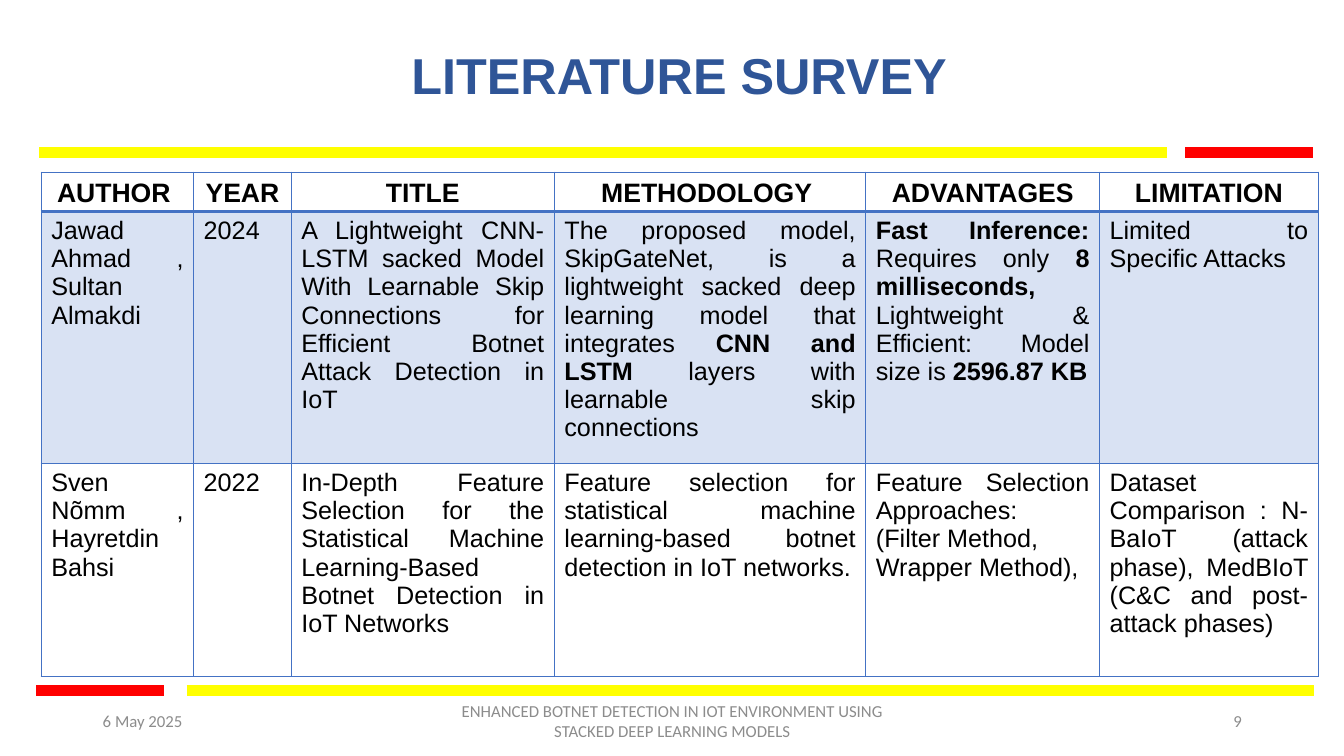
import pptx
import pptx.dml.color
import pptx.enum.shapes
import pptx.enum.text
import pptx.oxml
import pptx.oxml.ns
import pptx.util
from pptx.dml.color import RGBColor
from pptx.enum.text import MSO_ANCHOR, PP_ALIGN
from pptx.util import Cm, Pt

YELLOW = RGBColor(0xFF, 0xFF, 0x00)
RED = RGBColor(0xFF, 0x00, 0x00)
NAVY = RGBColor(0x2F, 0x55, 0x97)
BLUE = RGBColor(0x44, 0x72, 0xC4)
BLACK = RGBColor(0x00, 0x00, 0x00)
GREY = RGBColor(0x8C, 0x8C, 0x8C)

COLUMN_WIDTHS = [3.84, 2.46, 6.63, 7.85, 5.89, 5.51]
ROW_HEIGHTS = [0.99, 6.35, 5.36]
SURVEY = [
    ["AUTHOR ", "YEAR", "TITLE", "METHODOLOGY ", "ADVANTAGES", "LIMITATION"],
    [
        "Jawad Ahmad , Sultan Almakdi",
        "2024",
        "A Lightweight CNN-LSTM sacked Model With Learnable Skip Connections "
        "for Efficient Botnet Attack Detection in IoT",
        "The proposed model, SkipGateNet, is a lightweight sacked deep learning model "
        "that integrates **CNN and LSTM** layers with learnable skip connections",
        "**Fast Inference:** Requires only **8 milliseconds, **"
        "Lightweight & Efficient: Model size is **2596.87 KB**",
        "Limited to Specific Attacks",
    ],
    [
        "Sven Nõmm , Hayretdin Bahsi",
        "2022",
        "In-Depth Feature Selection for the Statistical Machine Learning-Based "
        "Botnet Detection in IoT Networks ",
        "Feature selection for statistical machine learning-based botnet detection "
        "in IoT networks.",
        "Feature Selection Approaches:\n(Filter Method, \nWrapper Method), ",
        "Dataset Comparison : N-BaIoT (attack phase), MedBIoT "
        "(C&C and post-attack phases)",
    ],
]


def style_span(span, font, size, color, bold=False):
    """Set the font of one run."""
    span.font.name = font
    span.font.size = Pt(size)
    span.font.color.rgb = color
    span.font.bold = bold


def add_bar(page, left, right, top, color):
    """Draw a thick horizontal rule."""
    bar = page.shapes.add_connector(
        pptx.enum.shapes.MSO_CONNECTOR.STRAIGHT, Cm(left), Cm(top), Cm(right), Cm(top)
    )
    bar.line.color.rgb = color
    bar.line.width = Pt(8)
    bar._element.spPr.append(pptx.oxml.parse_xml(
        f'<a:effectLst {pptx.oxml.ns.nsdecls("a")}/>'
    ))


def add_label(page, text, place, align, font, size, color, bold=False):
    """Add a vertically centred line of text."""
    box = page.shapes.add_textbox(*[Cm(length) for length in place])
    frame = box.text_frame
    frame.word_wrap = True
    frame.vertical_anchor = MSO_ANCHOR.MIDDLE
    frame.text = text
    para = frame.paragraphs[0]
    para.alignment = align
    style_span(para.runs[0], font, size, color, bold)
    return para


def set_borders(cell, top, bottom):
    """Outline a cell in blue, with given top and bottom widths in points."""
    properties = cell._tc.get_or_add_tcPr()
    widths = {"lnL": 1, "lnR": 1, "lnT": top, "lnB": bottom}
    for position, (side, width) in enumerate(widths.items()):
        properties.insert(position, pptx.oxml.parse_xml(
            f'<a:{side} {pptx.oxml.ns.nsdecls("a")} w="{Pt(width)}">'
            f'<a:solidFill><a:srgbClr val="{BLUE}"/></a:solidFill></a:{side}>'
        ))


def tint_cell(cell):
    """Fill a cell with blue at 20 percent opacity."""
    cell.fill.solid()
    cell.fill.fore_color.rgb = BLUE
    color = cell._tc.tcPr.find(".//" + pptx.oxml.ns.qn("a:solidFill") + "[last()]/")
    fill = cell._tc.tcPr.find(pptx.oxml.ns.qn("a:solidFill"))
    color = fill[0]
    color.append(pptx.oxml.parse_xml(
        f'<a:alpha {pptx.oxml.ns.nsdecls("a")} val="20000"/>'
    ))


def write_header(cell, text):
    """Write a centred bold column heading."""
    cell.text_frame.text = text
    cell.vertical_anchor = MSO_ANCHOR.MIDDLE
    cell.margin_left = cell.margin_right = Cm(0.05)
    cell.margin_top = cell.margin_bottom = 0
    para = cell.text_frame.paragraphs[0]
    para.alignment = PP_ALIGN.CENTER
    para.line_spacing = 1.07
    para.space_after = Pt(8)
    style_span(para.runs[0], "Arial", 19, BLACK, True)


def write_body(cell, text):
    """Write justified text in which double asterisks enclose bold words."""
    cell.text_frame.text = text
    for para in cell.text_frame.paragraphs:
        pieces = para.text.split("**")
        para.clear()
        para.alignment = PP_ALIGN.JUSTIFY
        for number, piece in enumerate(pieces):
            if piece:
                span = para.add_run()
                span.text = piece
                style_span(span, "Arial", 18, BLACK, number % 2 == 1)


def add_survey(page):
    """Add the table of surveyed papers."""
    table = page.shapes.add_table(
        len(ROW_HEIGHTS), len(COLUMN_WIDTHS), Cm(1.04), Cm(4.34),
        Cm(sum(COLUMN_WIDTHS)), Cm(sum(ROW_HEIGHTS)),
    ).table
    table.first_row = table.horz_banding = False
    for column, width in zip(table.columns, COLUMN_WIDTHS):
        column.width = Cm(width)
    for row_number, texts in enumerate(SURVEY):
        table.rows[row_number].height = Cm(ROW_HEIGHTS[row_number])
        for column_number, text in enumerate(texts):
            cell = table.cell(row_number, column_number)
            if row_number == 0:
                write_header(cell, text)
            else:
                write_body(cell, text)
            if row_number == 1:
                tint_cell(cell)
            else:
                cell.fill.background()
            set_borders(cell, 2 if row_number == 1 else 1, 2 if row_number == 0 else 1)


def main():
    """Build the literature survey slide."""
    deck = pptx.Presentation()
    deck.slide_width, deck.slide_height = Cm(33.87), Cm(19.05)
    page = deck.slides.add_slide(deck.slide_layouts[6])

    add_bar(page, 0.99, 29.41, 3.84, YELLOW)
    add_bar(page, 29.87, 33.1, 3.84, RED)
    add_bar(page, 0.91, 4.14, 17.4, RED)
    add_bar(page, 4.7, 33.12, 17.4, YELLOW)

    title = add_label(page, "LITERATURE SURVEY", (1.04, 0.79, 32.16, 2.36),
                      PP_ALIGN.CENTER, "Arial", 36, NAVY, True)
    title.line_spacing = 0.9
    add_survey(page)

    footers = [
        ("9", 23.93, 7.62, PP_ALIGN.RIGHT),
        ("6 May 2025", 2.34, 7.62, PP_ALIGN.LEFT),
        ("ENHANCED BOTNET DETECTION IN IOT ENVIRONMENT USING "
         "STACKED DEEP LEARNING MODELS", 11.23, 11.43, PP_ALIGN.CENTER),
    ]
    for text, left, width, align in footers:
        add_label(page, text, (left, 17.65, width, 1.02), align, "Calibri", 12, GREY)
    deck.save("out.pptx")


if __name__ == "__main__":
    main()
